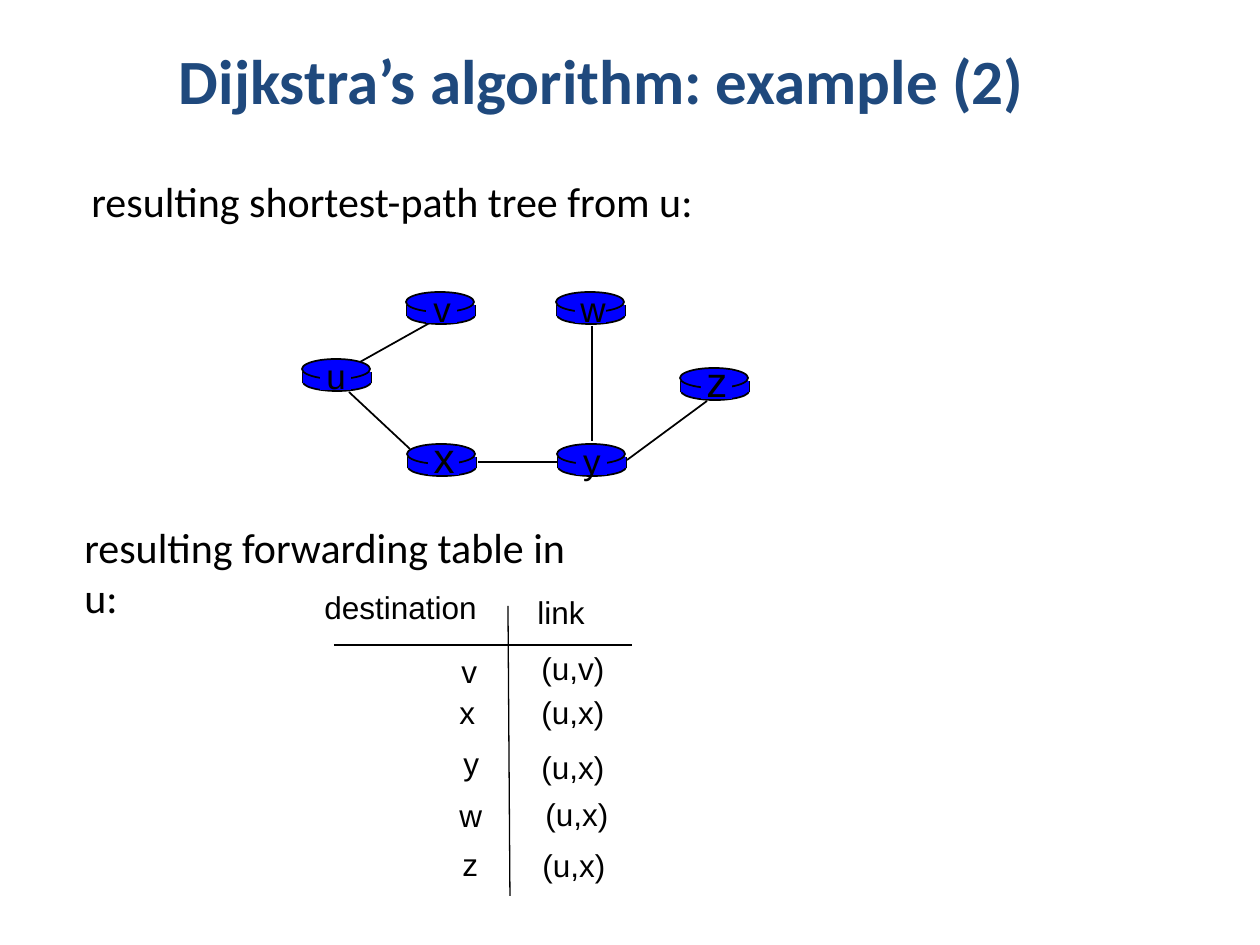
import pptx
import pptx.dml.color
import pptx.enum.shapes
import pptx.enum.text
import pptx.oxml
import pptx.util

SHAPE = pptx.enum.shapes.MSO_SHAPE
ALIGN = pptx.enum.text.PP_ALIGN
ANCHOR = pptx.enum.text.MSO_ANCHOR
EMU_PER_PX = 914400 / 126

THEME = {
    "title": pptx.dml.color.RGBColor(0x1F, 0x49, 0x7D),
    "ink": pptx.dml.color.RGBColor(0, 0, 0),
    "router": pptx.dml.color.RGBColor(0, 0, 0xFF),
    "heading_font": "Calibri",
    "label_font": "Arial",
    "title_size": 36,
    "heading_size": 24,
    "cell_size": 18,
    "edge_width": 1,
    "rule_width": 0.75,
}

presentation = pptx.Presentation()
presentation.slide_width = pptx.util.Inches(10)
presentation.slide_height = pptx.util.Inches(7.5)
slide = presentation.slides.add_slide(presentation.slide_layouts[6])


def emu(*pixels):
    return [round(px * EMU_PER_PX) for px in pixels]


def add_text(text, box, size, font=THEME["label_font"], color=THEME["ink"],
             bold=False, align=ALIGN.LEFT, anchor=ANCHOR.TOP, wrap=False):
    frame = slide.shapes.add_textbox(*emu(*box)).text_frame
    frame.word_wrap = wrap
    frame.vertical_anchor = anchor
    paragraph = frame.paragraphs[0]
    paragraph.alignment = align
    run = paragraph.add_run()
    run.text = text
    run.font.name = font
    run.font.size = pptx.util.Pt(size)
    run.font.bold = bold
    run.font.color.rgb = color


# Everything drawn is listed from back to front, then drawn in one pass.
# Router: name, left, top, label centre, label size
routers = [
    ("u", 302, 359, 336, 20),
    ("x", 407, 444, 444, 24),
    ("v", 406, 292, 442, 20),
    ("w", 556, 292, 591, 20),
    ("y", 557, 444, 592, 20),
    ("z", 680, 368, 717, 24),
]
edge_u_v = (360, 362, 435, 320)
edge_w_y = (592, 326, 592, 441)
edge_y_z = (627, 460, 707, 401)
edge_y_x = (558, 462, 478, 462)
edge_x_u = (410, 449, 349, 392)
column_rule = (508, 606, 510, 896)
header_rule = (334, 645, 632, 645)

drawing = [("line", edge_u_v, THEME["edge_width"])]
for name, left, top, label_centre, label_size in routers:
    body_left, body_right = left + 1, left + 69
    side_top, side_bottom = top + 13, top + 24
    drawing += [
        (SHAPE.OVAL, (body_left, top + 14, 68, 18), THEME["edge_width"]),
        ("line", (body_left, side_top, body_left, side_bottom), THEME["edge_width"]),
        ("line", (body_right, side_top, body_right, side_bottom), THEME["edge_width"]),
        (SHAPE.RECTANGLE, (body_left, side_top, 68, 11), None),
        (SHAPE.OVAL, (left, top, 68, 20), THEME["edge_width"]),
    ]
for edge in (edge_w_y, edge_y_z, edge_y_x, edge_x_u):
    drawing.append(("line", edge, THEME["edge_width"]))
for name, left, top, label_centre, label_size in routers:
    drawing.append((SHAPE.RECTANGLE, (label_centre - 16, top + 2, 31, 29), None))
for rule in (column_rule, header_rule):
    drawing.append(("line", rule, THEME["rule_width"]))

add_text("Dijkstra’s algorithm: example (2) ", (73, 21, 1071, 117),
         THEME["title_size"], font=THEME["heading_font"], color=THEME["title"],
         bold=True, align=ALIGN.CENTER, anchor=ANCHOR.MIDDLE, wrap=True)

for kind, geometry, width in drawing:
    if kind == "line":
        part = slide.shapes.add_connector(
            pptx.enum.shapes.MSO_CONNECTOR.STRAIGHT, *emu(*geometry))
        part.element.spPr.append(pptx.oxml.parse_xml(
            '<a:effectLst xmlns:a="http://schemas.openxmlformats.org/drawingml/2006/main"/>'))
    else:
        part = slide.shapes.add_shape(kind, *emu(*geometry))
        part.shadow.inherit = False
        part.fill.solid()
        part.fill.fore_color.rgb = THEME["router"]
    if width is None:
        part.line.fill.background()
    else:
        part.line.color.rgb = THEME["ink"]
        part.line.width = pptx.util.Pt(width)

for name, left, top, label_centre, label_size in routers:
    label_top, label_height = (top - 11, 54) if label_size == 20 else (top - 19, 63)
    add_text(name, (label_centre - 23, label_top, 46, label_height), label_size,
             align=ALIGN.CENTER)

add_text("resulting shortest-path tree from u:", (79, 169, 630, 63),
         THEME["heading_size"], font=THEME["heading_font"])
add_text("resulting forwarding table in u:", (72, 515, 544, 63),
         THEME["heading_size"], font=THEME["heading_font"], wrap=True)

# Cell: text, left, top, width
forwarding_cells = [
    ("destination", 312, 582, 178), ("link", 525, 587, 73),
    ("v", 449, 646, 42), ("(u,v)", 529, 643, 88),
    ("x", 447, 687, 42), ("(u,x)", 529, 687, 88),
    ("y", 451, 738, 42), ("(u,x)", 529, 742, 88),
    ("w", 447, 790, 48), ("(u,x)", 533, 789, 88),
    ("z", 450, 839, 42), ("(u,x)", 530, 840, 88),
]
for text, left, top, width in forwarding_cells:
    add_text(text, (left, top, width, 50), THEME["cell_size"])

presentation.save("out.pptx")
